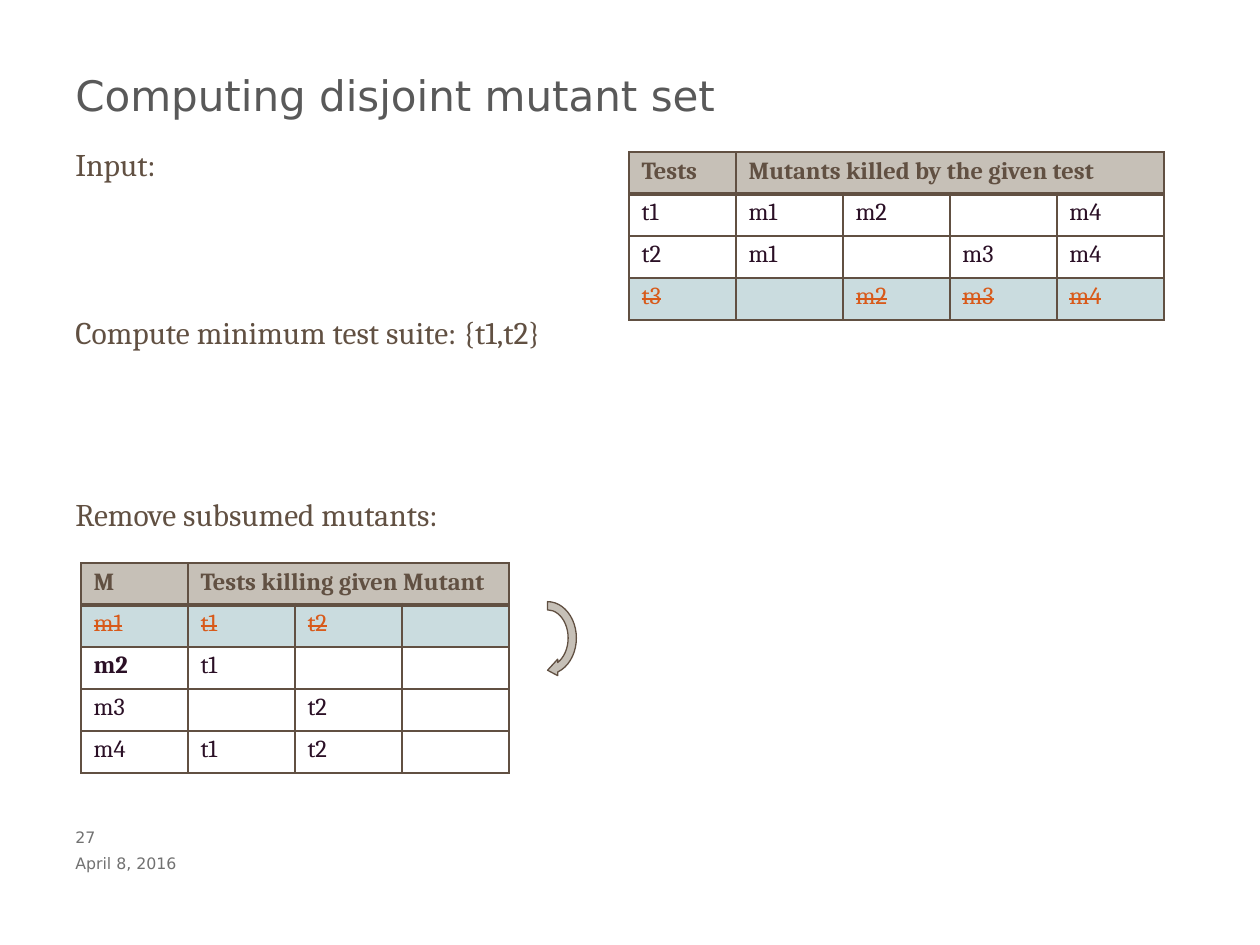
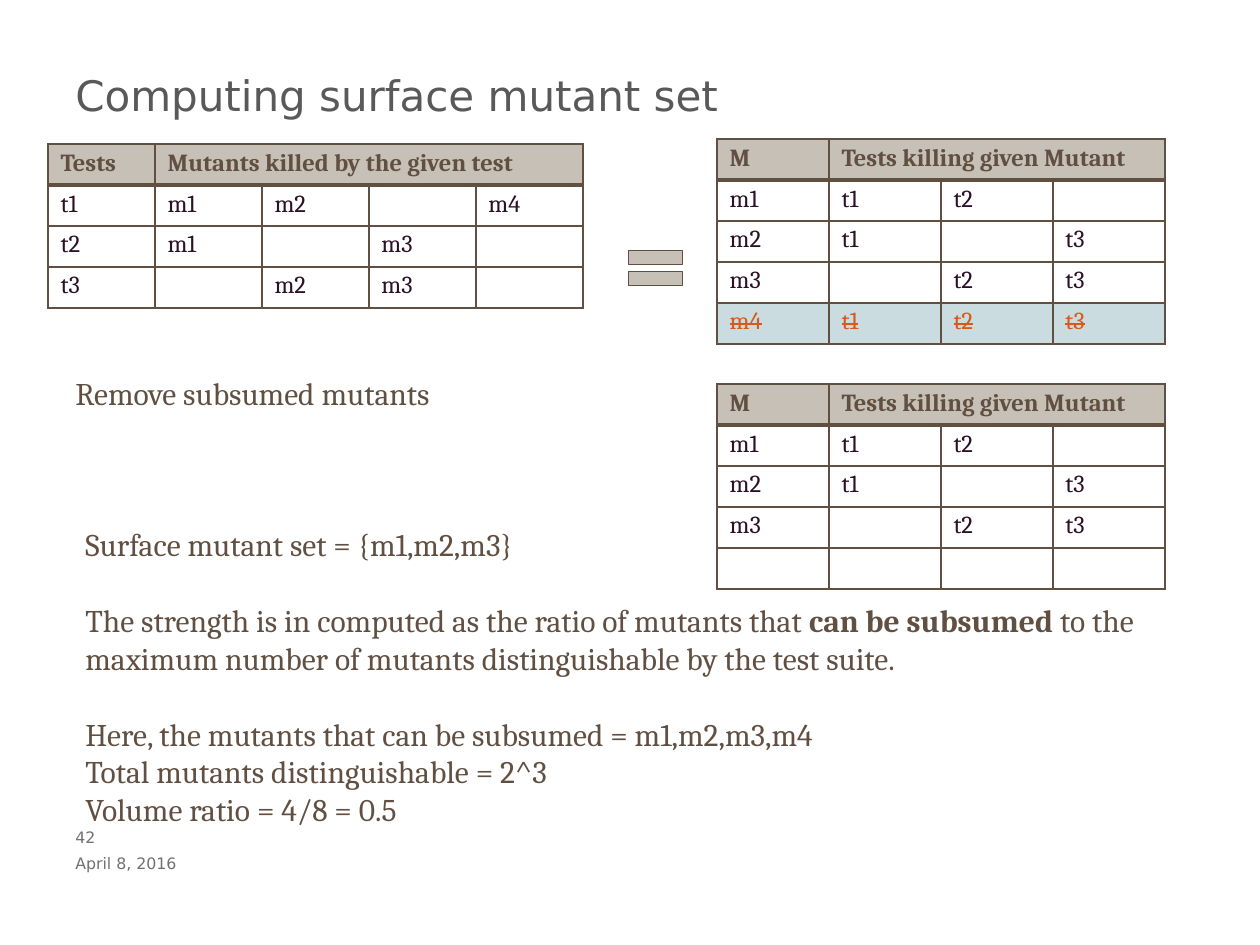
"""Two slides on computing disjoint and surface mutant sets."""
from lxml.etree import SubElement
from pptx import Presentation
from pptx.dml.color import RGBColor as RGB
from pptx.enum.shapes import MSO_SHAPE as SHAPE
from pptx.enum.text import MSO_ANCHOR as ANCHOR
from pptx.oxml.ns import qn
from pptx.util import Emu, Pt

C = {"title": "595959", "footer": "717171", "brown": "615042", "ink": "2B1026",
     "struck": "D85A1A", "head": "C6C0B7", "blue": "CADCDF", "white": "FFFFFF"}
SANS, SERIF = "DejaVu Sans", "Cambria"
BY_TEST = ["Tests", "Mutants killed by the given test"]
BY_MUTANT = ["M", "Tests killing given Mutant"]
SURFACE = [["m1", "t1", "t2", ""], ["m2", "t1", "", "t3"], ["m3", "", "t2", "t3"]]


def px(n):
    return Emu(round(n * 914400 / 126))


def write(p, text, size=18, font=SERIF, color="brown", bold=False, strike=False):
    r = p.add_run()
    r.text = text
    f = r.font
    f.size, f.name, f.bold = Pt(size), font, bold
    f.color.rgb = RGB.from_string(C[color])
    if strike:
        f._element.set("strike", "sngStrike")


slides = [
    {
        "title": "Computing disjoint mutant set",
        "number": "27",
        "texts": [
            (63, 139, 566, 50, [["Input:"]]),
            (63, 307, 566, 50, [["Compute minimum test suite: {t1,t2}"]]),
            (63, 489, 566, 50, [["Remove subsumed mutants:"]]),
        ],
        "tables": [
            (629, 152, 107, 42, BY_TEST, [["t1", "m1", "m2", "", "m4"],
                                          ["t2", "m1", "", "m3", "m4"],
                                          ["t3", "", "m2", "m3", "m4"]], "t3", ""),
            (81, 563, 107, 42, BY_MUTANT, [["m1", "t1", "t2", ""],
                                           ["m2", "t1", "", ""],
                                           ["m3", "", "t2", ""],
                                           ["m4", "t1", "t2", ""]], "m1", "m2"),
        ],
        "symbol": (SHAPE.CIRCULAR_ARROW, 507, 605, 81, 66, 90),
    },
    {
        "title": "Computing surface mutant set",
        "number": "42",
        "texts": [
            (63, 368, 420, 50, [["Remove subsumed mutants"]]),
            (73, 519, 1081, 318, [
                ["Surface mutant set = {m1,m2,m3}"],
                ["The strength is in computed as the ratio of mutants that ",
                 "can be subsumed",
                 " to the maximum number of mutants distinguishable by the test suite."],
                ["Here, the mutants that can be subsumed = m1,m2,m3,m4"],
                ["Total mutants distinguishable = 2^3"],
                ["Volume ratio = 4/8 = 0.5"],
            ]),
        ],
        "tables": [
            (48, 144, 107, 41, BY_TEST, [["t1", "m1", "m2", "", "m4"],
                                         ["t2", "m1", "", "m3", ""],
                                         ["t3", "", "m2", "m3", ""]], "", ""),
            (717, 139, 112, 41, BY_MUTANT,
             SURFACE + [["m4", "t1", "t2", "t3"]], "m4", ""),
            (717, 384, 112, 41, BY_MUTANT, SURFACE + [[""] * 4], "", ""),
        ],
        "symbol": (SHAPE.MATH_EQUAL, 619, 238, 73, 60, 0),
    },
]

prs = Presentation()
prs.slide_width, prs.slide_height = px(1260), px(945)

for spec_data in slides:
    s = prs.slides.add_slide(prs.slide_layouts[6])

    title = s.shapes.add_textbox(px(63), px(63), px(1134), px(94))
    title.text_frame.word_wrap = True
    write(title.text_frame.paragraphs[0], spec_data["title"], size=24, font=SANS,
          color="title")

    for text, top, width in (("April 8, 2016", 851, 252), (spec_data["number"], 825, 50)):
        tf = s.shapes.add_textbox(px(63), px(top), px(width), px(25)).text_frame
        tf.word_wrap = True
        tf.margin_top = tf.margin_bottom = tf.margin_right = 0
        tf.vertical_anchor = ANCHOR.MIDDLE
        write(tf.paragraphs[0], text, size=9, font=SANS, color="footer")

    for x, y, w, h, paragraphs in spec_data["texts"]:
        tf = s.shapes.add_textbox(px(x), px(y), px(w), px(h)).text_frame
        tf.word_wrap = True
        for i, parts in enumerate(paragraphs):
            p = tf.paragraphs[0] if i == 0 else tf.add_paragraph()
            if i in (1, 2):
                p.space_before = Pt(21.7)
            for j, part in enumerate(parts):
                write(p, part, bold=j == 1)

    for x, y, col_w, row_h, head, body, struck, bold in spec_data["tables"]:
        cols = len(body[0])
        rows = [head + [""] * (cols - 2)] + body
        tbl = s.shapes.add_table(len(rows), cols, px(x), px(y), px(col_w * cols),
                                 px(row_h * len(rows))).table
        tbl.first_row = tbl.horz_banding = False
        for col in tbl.columns:
            col.width = px(col_w)
        for i, row in enumerate(rows):
            tbl.rows[i].height = px(row_h)
            out = bool(struck) and row[0] == struck
            for j, text in enumerate(row):
                cell = tbl.cell(i, j)
                cell.margin_top = cell.margin_bottom = px(5)
                for side in ("L", "R", "T", "B"):
                    thick = (i, side) in ((0, "B"), (1, "T"))
                    ln = SubElement(cell._tc.get_or_add_tcPr(), qn("a:ln" + side),
                                    w=str(Pt(3 if thick else 1)))
                    SubElement(SubElement(ln, qn("a:solidFill")), qn("a:srgbClr"),
                               val=C["brown"])
                cell.fill.solid()
                fill = "head" if i == 0 else "blue" if out else "white"
                cell.fill.fore_color.rgb = RGB.from_string(C[fill])
                p = cell.text_frame.paragraphs[0]
                if text:
                    color = "brown" if i == 0 else "struck" if out else "ink"
                    write(p, text, size=14, color=color, strike=out,
                          bold=i == 0 or text == bold)
                else:
                    SubElement(p._p, qn("a:endParaRPr"), sz="1400")
        tbl.cell(0, 1).merge(tbl.cell(0, cols - 1))

    kind, x, y, w, h, angle = spec_data["symbol"]
    sp = s.shapes.add_shape(kind, px(x), px(y), px(w), px(h))
    sp.rotation = angle
    sp.shadow.inherit = False
    sp.fill.solid()
    sp.fill.fore_color.rgb = RGB.from_string(C["head"])
    sp.line.color.rgb = RGB.from_string(C["brown"])
    sp.line.width = Pt(0.75)

prs.save("out.pptx")
